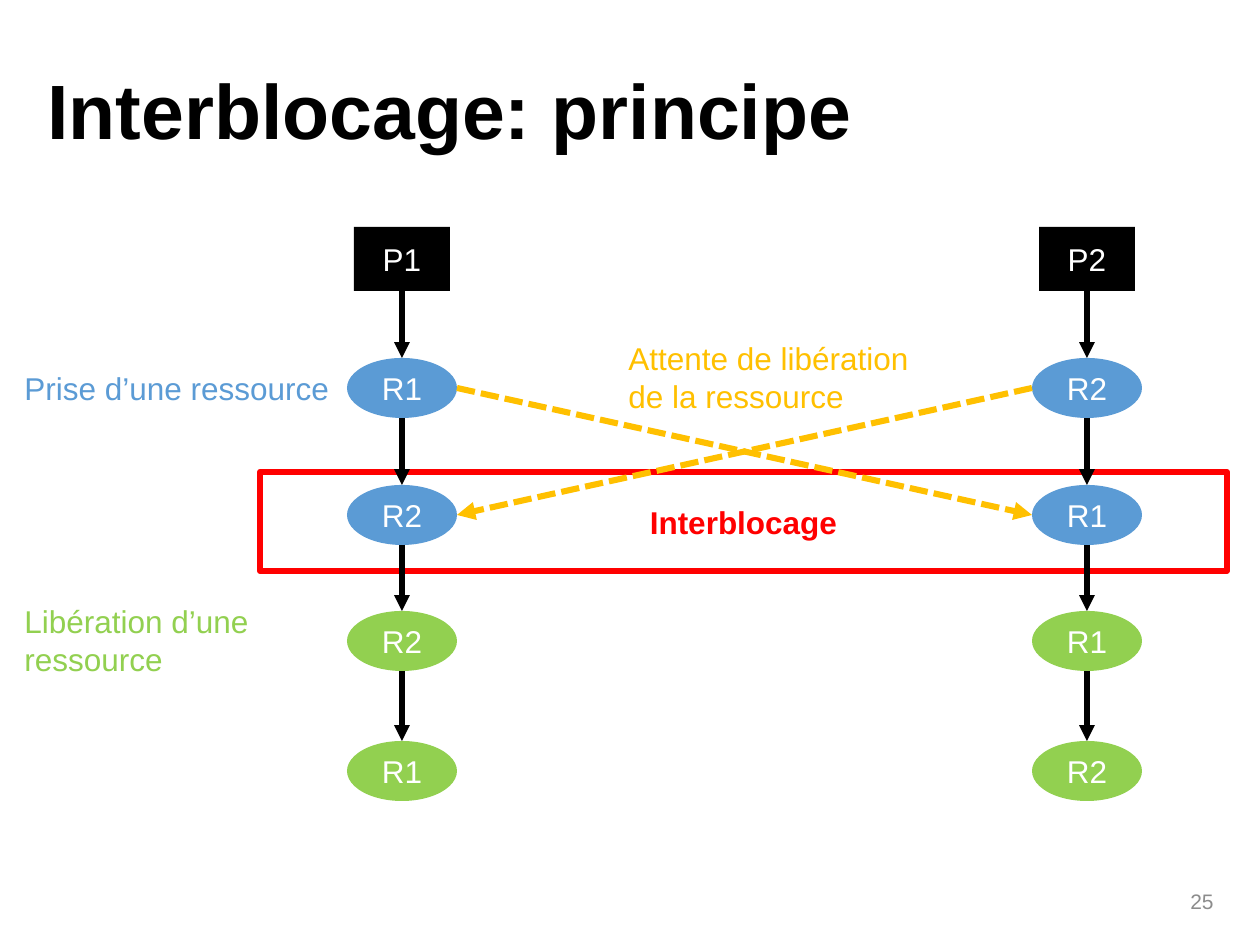
from lxml import etree
from pptx import Presentation, util as u
from pptx.dml.color import RGBColor
from pptx.enum import dml, shapes, text
from pptx.oxml.ns import qn

SCALE = u.Inches(1) / 126
BLACK, WHITE, GREY = "000000", "FFFFFF", "8C8C8C"
BLUE, GREEN, RED, AMBER = "5B9BD5", "92D050", "FF0000", "FFC000"
PROCESSES = (
    (402, "P1", ("R1", "R2", "R2", "R1")),
    (1087, "P2", ("R2", "R1", "R1", "R2")),
)
STEPS = ((358, BLUE), (485, BLUE), (611, GREEN), (741, GREEN))
PROCESS_TOP, PROCESS_WIDTH, PROCESS_HEIGHT = 227, 96, 64
STEP_WIDTH, STEP_HEIGHT = 110, 60


def px(*lengths):
    """Convert pixel lengths to EMU."""
    return [u.Emu(round(length * SCALE)) for length in lengths]


def color(value):
    """Convert a hex string to a colour."""
    return RGBColor.from_string(value)


def write(box, words, ink, size=18, bold=False, align=text.PP_ALIGN.LEFT):
    """Put formatted text into a box."""
    box.text_frame.text = words
    for para in box.text_frame.paragraphs:
        para.alignment = align
        para.font.name = "Arial"
        para.font.size = u.Pt(size)
        para.font.bold = bold
        para.font.color.rgb = color(ink)


def add_title(page, words):
    """Fill and place the title placeholder."""
    title = page.shapes.title
    title.left, title.top, title.width, title.height = px(35, 50, 1192, 130)
    write(title, words, BLACK, 44, True)
    title.text_frame.vertical_anchor = text.MSO_ANCHOR.MIDDLE
    title.text_frame.paragraphs[0].line_spacing = 0.9


def add_node(page, kind, area, words, fill=None, line=None, ink=WHITE, bold=False):
    """Add a shape with centred text."""
    node = page.shapes.add_shape(kind, *px(*area))
    node.shadow.inherit = False
    if fill:
        node.fill.solid()
        node.fill.fore_color.rgb = color(fill)
    else:
        node.fill.background()
    if line:
        node.line.color.rgb = color(line)
        node.line.width = u.Pt(3.5)
    else:
        node.line.fill.background()
    write(node, words, ink, bold=bold, align=text.PP_ALIGN.CENTER)
    node.text_frame.vertical_anchor = text.MSO_ANCHOR.MIDDLE


def add_arrow(page, start, end, ink=BLACK, width=3, dash=None):
    """Add a straight arrow between two points."""
    arrow = page.shapes.add_connector(shapes.MSO_CONNECTOR.STRAIGHT, *px(*start, *end))
    arrow.line.color.rgb = color(ink)
    arrow.line.width = u.Pt(width)
    if dash:
        arrow.line.dash_style = dash
    etree.SubElement(arrow.line._get_or_add_ln(), qn("a:tailEnd"), type="triangle")
    etree.SubElement(arrow._element.spPr, qn("a:effectLst"))


def add_label(page, area, words, ink):
    """Add a free-standing label."""
    label = page.shapes.add_textbox(*px(*area))
    label.text_frame.word_wrap = False
    label.text_frame.auto_size = text.MSO_AUTO_SIZE.SHAPE_TO_FIT_TEXT
    write(label, words, ink)


def add_page_number(page, number):
    """Add the page number at the lower right."""
    box = page.shapes.add_textbox(*px(890, 876, 336, 50))
    box.text_frame.word_wrap = True
    box.text_frame.vertical_anchor = text.MSO_ANCHOR.MIDDLE
    write(box, number, GREY, 12, align=text.PP_ALIGN.RIGHT)


def add_process(page, center, name, resources):
    """Add a process box above its column of resources."""
    area = (center - PROCESS_WIDTH / 2, PROCESS_TOP, PROCESS_WIDTH, PROCESS_HEIGHT)
    add_node(page, shapes.MSO_SHAPE.RECTANGLE, area, name, BLACK)
    for (top, fill), resource in zip(STEPS, resources):
        area = (center - STEP_WIDTH / 2, top, STEP_WIDTH, STEP_HEIGHT)
        add_node(page, shapes.MSO_SHAPE.OVAL, area, resource, fill)


def add_flow(page, center):
    """Link the elements of one column from top to bottom."""
    bottom = PROCESS_TOP + PROCESS_HEIGHT
    for top, _ in STEPS:
        add_arrow(page, (center, bottom), (center, top))
        bottom = top + STEP_HEIGHT


def add_waits(page):
    """Cross the two columns with dashed waiting arrows."""
    left = PROCESSES[0][0] + STEP_WIDTH / 2
    right = PROCESSES[1][0] - STEP_WIDTH / 2
    held, wanted = (top + STEP_HEIGHT / 2 for top, _ in STEPS[:2])
    for start, end in ((right, left), (left, right)):
        add_arrow(page, (start, held), (end, wanted), AMBER, 3.5,
                  dml.MSO_LINE.SQUARE_DOT)


def main():
    """Build and save the deck."""
    deck = Presentation()
    deck.slide_width, deck.slide_height = px(1260, 945)
    page = deck.slides.add_slide(deck.slide_layouts[5])
    add_title(page, "Interblocage: principe")
    add_page_number(page, "25")
    for process in PROCESSES:
        add_process(page, *process)
    add_node(page, shapes.MSO_SHAPE.RECTANGLE, (260, 472, 967, 99),
             "Interblocage", line=RED, ink=RED, bold=True)
    for center, _, _ in PROCESSES:
        add_flow(page, center)
    add_label(page, (12, 363, 333, 51), "Prise d’une ressource", BLUE)
    add_label(page, (12, 596, 268, 89), "Libération d’une\nressource", GREEN)
    add_waits(page)
    add_label(page, (616, 333, 333, 89), "Attente de libération\nde la ressource", AMBER)
    deck.save("out.pptx")


if __name__ == "__main__":
    main()
